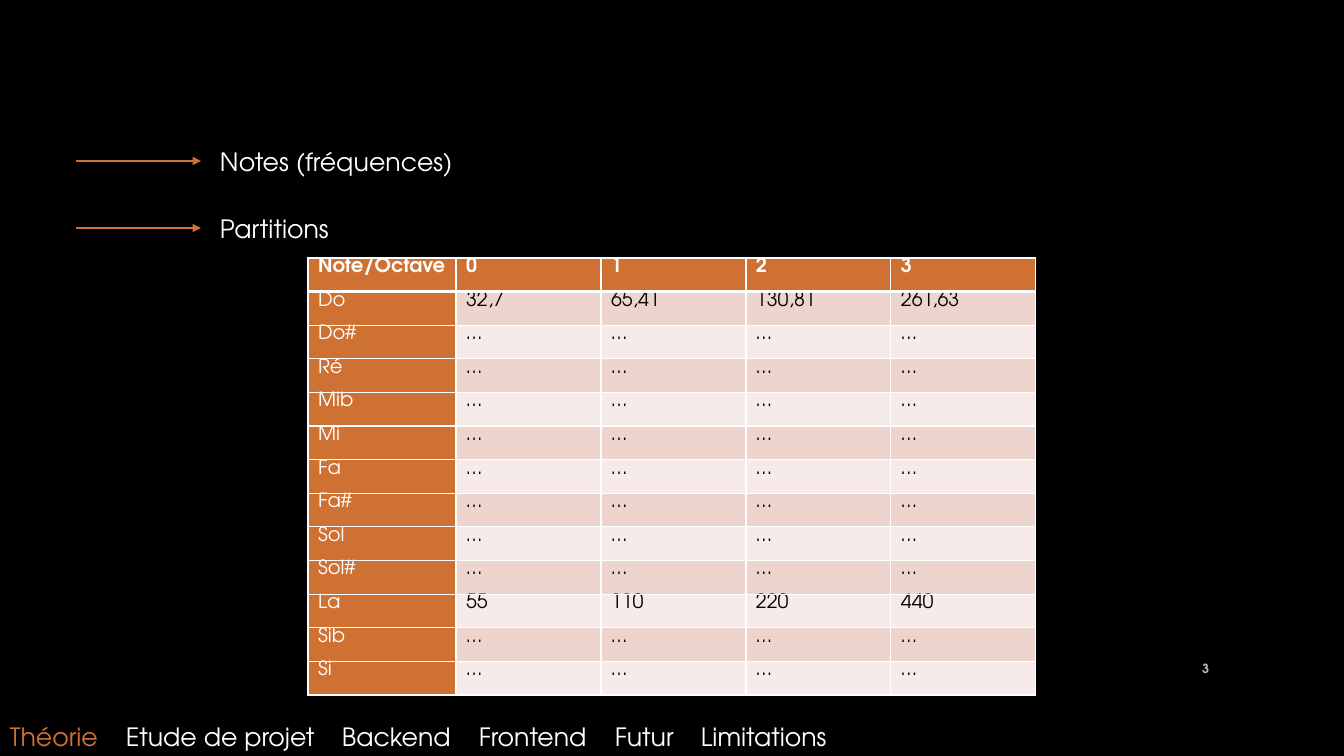
"""Build the slide on note frequencies and scores."""
import pptx
import pptx.util
import pptx.dml.color
import pptx.enum.shapes
import pptx.enum.text
import pptx.oxml
import pptx.oxml.ns

PX = 914400 / 100.8
FONT = "TeX Gyre Adventor"
ORANGE, WHITE, BLACK = "CF7133", "FFFFFF", "000000"
color = pptx.dml.color.RGBColor.from_string
NS = pptx.oxml.ns.nsdecls("a")


def px(*lengths):
    return [pptx.util.Emu(round(length * PX)) for length in lengths]


def style(run, size, hex_color, bold=False):
    run.font.name = FONT
    run.font.size = pptx.util.Pt(size)
    run.font.bold = bold
    run.font.color.rgb = color(hex_color)


deck = pptx.Presentation()
deck.slide_width, deck.slide_height = px(1344, 756)
slide = deck.slides.add_slide(deck.slide_layouts[6])
slide.background.fill.solid()
slide.background.fill.fore_color.rgb = color(BLACK)

for topic, top, width in [("Notes (fréquences)", 141, 274), ("Partitions", 208, 162)]:
    label = slide.shapes.add_textbox(*px(210, top, width, 40)).text_frame
    label.word_wrap = True
    label.text = topic
    style(label.paragraphs[0].runs[0], 18, WHITE)

    arrow = slide.shapes.add_connector(
        pptx.enum.shapes.MSO_CONNECTOR.STRAIGHT, *px(76, top + 20, 201, top + 20))
    arrow.line.color.rgb = color(ORANGE)
    arrow.line.width = pptx.util.Pt(2)
    arrow.line._get_or_add_ln().append(
        pptx.oxml.parse_xml(f'<a:tailEnd {NS} type="triangle"/>'))
    arrow._element.spPr.append(pptx.oxml.parse_xml(f"<a:effectLst {NS}/>"))

notes = "Do,Do#,Ré,Mib,Mi,Fa,Fa#,Sol,Sol#,La,Sib,Si".split(",")
known = {"Do": ["32,7", "65,41", "130,81", "261,63"], "La": ["55", "110", "220", "440"]}
rows = [["Note/Octave", "0", "1", "2", "3"]]
rows += [[note] + known.get(note, ["…"] * 4) for note in notes]

frequencies = slide.shapes.add_table(len(rows), 5, *px(308, 258, 728, 437)).table
for c, column in enumerate(frequencies.columns):
    column.width = px(145 if c else 148)[0]
for r, values in enumerate(rows):
    frequencies.rows[r].height = px(437 / len(rows))[0]
    for c, value in enumerate(values):
        cell = frequencies.cell(r, c)
        cell.text = value
        cell.margin_top = cell.margin_bottom = 0
        heading = r == 0 or c == 0
        style(cell.text_frame.paragraphs[0].runs[0], 14, WHITE if heading else BLACK, r == 0)
        for side in "LRTB":
            thick = (r == 0 and side == "B") or (r == 1 and side == "T")
            cell._tc.get_or_add_tcPr().append(pptx.oxml.parse_xml(
                f'<a:ln{side} {NS} w="{38100 if thick else 12700}"><a:solidFill>'
                f'<a:srgbClr val="{WHITE}"/></a:solidFill></a:ln{side}>'))
        cell.fill.solid()
        cell.fill.fore_color.rgb = color(ORANGE if heading else "EDD5CE" if r % 2 else "F6EBE8")

page = slide.shapes.add_textbox(*px(1159, 648, 60, 40)).text_frame
page.word_wrap = True
page.vertical_anchor = pptx.enum.text.MSO_ANCHOR.MIDDLE
page.text = "3"
page.paragraphs[0].alignment = pptx.enum.text.PP_ALIGN.RIGHT
style(page.paragraphs[0].runs[0], 9, "BFBFBF", True)

sections = slide.shapes.add_textbox(*px(0, 716, 881, 40)).text_frame
sections.word_wrap = True
agenda = sections.paragraphs[0]
for section in ["Théorie", "\tEtude de projet", "\tBackend", "\tFrontend", "\tFutur", "\tLimitations"]:
    entry = agenda.add_run()
    entry.text = section
    style(entry, 18, ORANGE if section == "Théorie" else WHITE)
stops = "".join(f'<a:tab pos="{stop}" algn="l"/>' for stop in px(116, 332, 469, 605, 691))
agenda._p.get_or_add_pPr().append(pptx.oxml.parse_xml(f"<a:tabLst {NS}>{stops}</a:tabLst>"))

deck.save("out.pptx")
